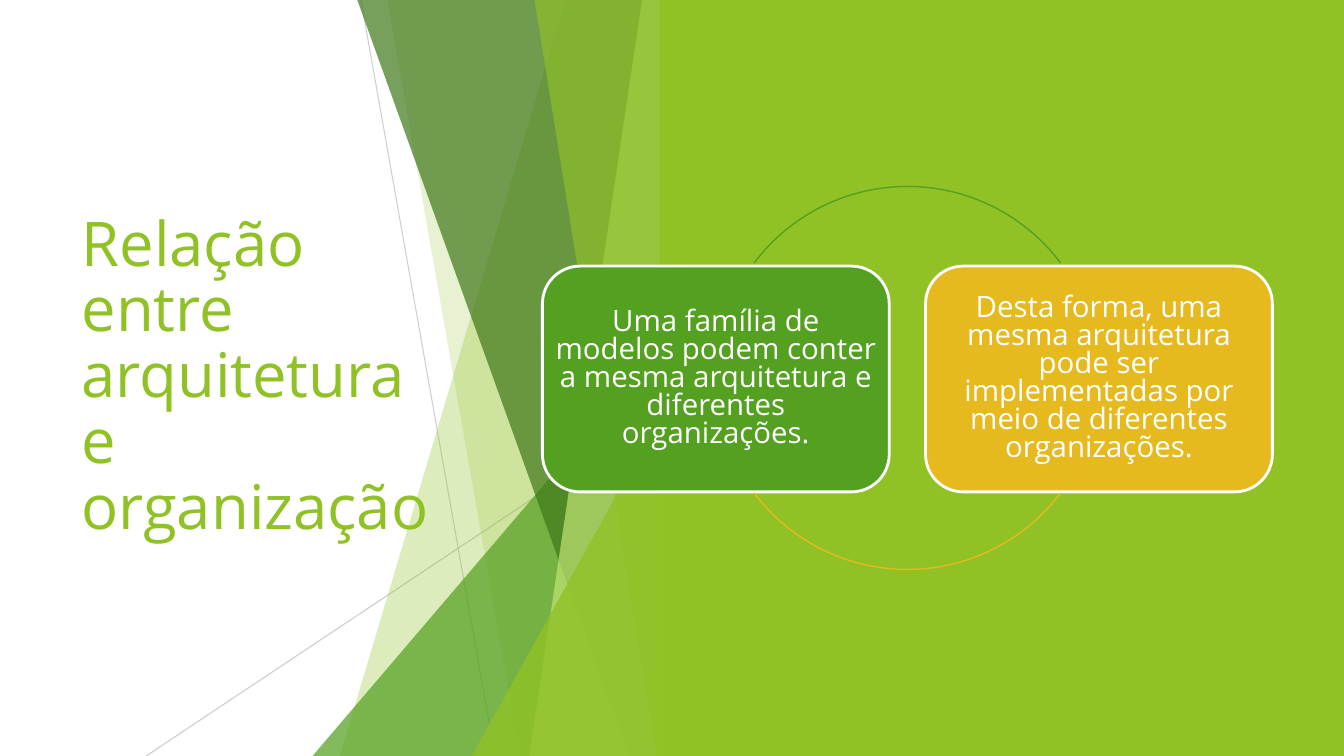
from lxml import etree
from pptx import Presentation
from pptx.dml.color import RGBColor
from pptx.enum.shapes import MSO_CONNECTOR, MSO_SHAPE
from pptx.enum.text import MSO_ANCHOR, PP_ALIGN
from pptx.oxml.ns import qn
from pptx.util import Inches, Pt

STRAIGHT = MSO_CONNECTOR.STRAIGHT
TRIANGLE, RECTANGLE = MSO_SHAPE.ISOSCELES_TRIANGLE, MSO_SHAPE.RECTANGLE
ROUNDED, ARC = MSO_SHAPE.ROUNDED_RECTANGLE, MSO_SHAPE.ARC
MIDDLE = MSO_ANCHOR.MIDDLE
LEFT, CENTER = PP_ALIGN.LEFT, PP_ALIGN.CENTER

FONT = "Open Sans"
LIME, GREEN, GOLD, WHITE = "90C226", "54A021", "E6B91E", "FFFFFF"
FOREST, PALE, GRAY = "3F7819", "C0E474", "BFBFBF"

WIDTH, HEIGHT = 13.33, 7.5
FACET_RIGHT, FACET_TOP = 6.66, -0.01
PANEL_LEFT = 6.54

TITLE = "Relação entre arquitetura e organização"
TITLE_BOX = (0.71, 1.51, 3.88, 4.48)

# start, end, opacity
RAYS = [((3.58, 0), (4.91, HEIGHT), 75), ((6.66, 4.03), (1.45, HEIGHT), 80)]

# Bands: top-left x, bottom-left x. Wedges: left, top. Then colour, opacity.
FACETS = [
    ("band", 5.61, 3.37, LIME, 30),
    ("band", 3.84, 5.16, LIME, 20),
    ("wedge", 3.1, 3.33, GREEN, 72),
    ("band", 3.54, 6.24, FOREST, 70),
    ("band", 6.37, 5.25, PALE, 70),
    ("band", 5.3, 6.51, LIME, 65),
    ("wedge", 4.68, 3.93, LIME, 80),
]

# text, colour, start and end angle of the arc in degrees
CARDS = [
    ("Uma família de modelos podem conter a mesma arquitetura e diferentes "
     "organizações.", GREEN, 216.87, 323.13),
    ("Desta forma, uma mesma arquitetura pode ser implementadas por meio de "
     "diferentes organizações.", GOLD, 36.87, 143.13),
]
CARD_LEFT, CARD_TOP, CARD_WIDTH, CARD_HEIGHT, CARD_STEP = 5.38, 2.64, 3.44, 2.24, 3.8
CYCLE_BOX = (7.1, 1.85, 3.8, 3.8)
ARC_UNITS_PER_DEGREE = 0.6


def color(hex_code):
    return RGBColor.from_string(hex_code)


def set_opacity(color_parent, percent):
    """Add an alpha value to the solid colour below an XML element."""
    rgb = next(color_parent.iter(qn("a:srgbClr")))
    etree.SubElement(rgb, qn("a:alpha")).set("val", str(percent * 1000))


def style(shape, fill=None, opacity=100, line=None, line_width=1):
    shape.shadow.inherit = False
    if fill:
        shape.fill.solid()
        shape.fill.fore_color.rgb = color(fill)
        if opacity < 100:
            set_opacity(shape.fill._xPr.find(qn("a:solidFill")), opacity)
    else:
        shape.fill.background()
    if line:
        shape.line.color.rgb = color(line)
        shape.line.width = Pt(line_width)
    else:
        shape.line.fill.background()


def add_preset(slide, preset, box, **formats):
    shape = slide.shapes.add_shape(preset, *map(Inches, box))
    style(shape, **formats)
    return shape


def write(shape, text, size, hex_code, align=LEFT, spacing=1.0, margins=(0, 0)):
    frame = shape.text_frame
    frame.word_wrap = True
    frame.vertical_anchor = MIDDLE
    frame.margin_left, frame.margin_right = map(Inches, margins)
    frame.margin_top = frame.margin_bottom = 0
    paragraph = frame.paragraphs[0]
    paragraph.alignment = align
    paragraph.line_spacing = spacing
    run = paragraph.add_run()
    run.text = text
    run.font.name = FONT
    run.font.size = Pt(size)
    run.font.color.rgb = color(hex_code)


def add_ray(slide, start, end, opacity):
    ray = slide.shapes.add_connector(STRAIGHT, *map(Inches, start + end))
    ray.line.color.rgb = color(GRAY)
    ray.line.width = Pt(0.75)
    properties = ray._element.spPr
    set_opacity(properties, opacity)
    etree.SubElement(properties, qn("a:effectLst"))


def add_band(slide, top_x, bottom_x, fill, opacity):
    corners = [(FACET_RIGHT, FACET_TOP), (FACET_RIGHT, HEIGHT), (bottom_x, HEIGHT)]
    builder = slide.shapes.build_freeform(Inches(top_x), Inches(FACET_TOP))
    builder.add_line_segments([(Inches(x), Inches(y)) for x, y in corners], close=True)
    style(builder.convert_to_shape(), fill=fill, opacity=opacity)


def add_wedge(slide, left, top, fill, opacity):
    box = (left, top, FACET_RIGHT - left, HEIGHT - top)
    wedge = add_preset(slide, TRIANGLE, box, fill=fill, opacity=opacity)
    wedge.adjustments[0] = 1


def add_card(slide, index, text, fill, start_angle, end_angle):
    box = (CARD_LEFT + index * CARD_STEP, CARD_TOP, CARD_WIDTH, CARD_HEIGHT)
    card = add_preset(slide, ROUNDED, box, fill=fill, line=WHITE, line_width=2)
    write(card, text, 21, WHITE, align=CENTER, spacing=0.79)
    arc = add_preset(slide, ARC, CYCLE_BOX, line=fill)
    arc.adjustments[0] = start_angle * ARC_UNITS_PER_DEGREE
    arc.adjustments[1] = end_angle * ARC_UNITS_PER_DEGREE


def main():
    presentation = Presentation()
    presentation.slide_width = Inches(WIDTH)
    presentation.slide_height = Inches(HEIGHT)
    slide = presentation.slides.add_slide(presentation.slide_layouts[6])

    title = slide.shapes.add_textbox(*map(Inches, TITLE_BOX))
    write(title, TITLE, 44, LIME, spacing=0.89, margins=(0.1, 0.15))

    for ray in RAYS:
        add_ray(slide, *ray)
    add_facet = {"band": add_band, "wedge": add_wedge}
    for kind, *facet in FACETS:
        add_facet[kind](slide, *facet)
    add_preset(slide, RECTANGLE, (PANEL_LEFT, 0, WIDTH - PANEL_LEFT, HEIGHT), fill=LIME)

    for index, card in enumerate(CARDS):
        add_card(slide, index, *card)

    presentation.save("out.pptx")


if __name__ == "__main__":
    main()
